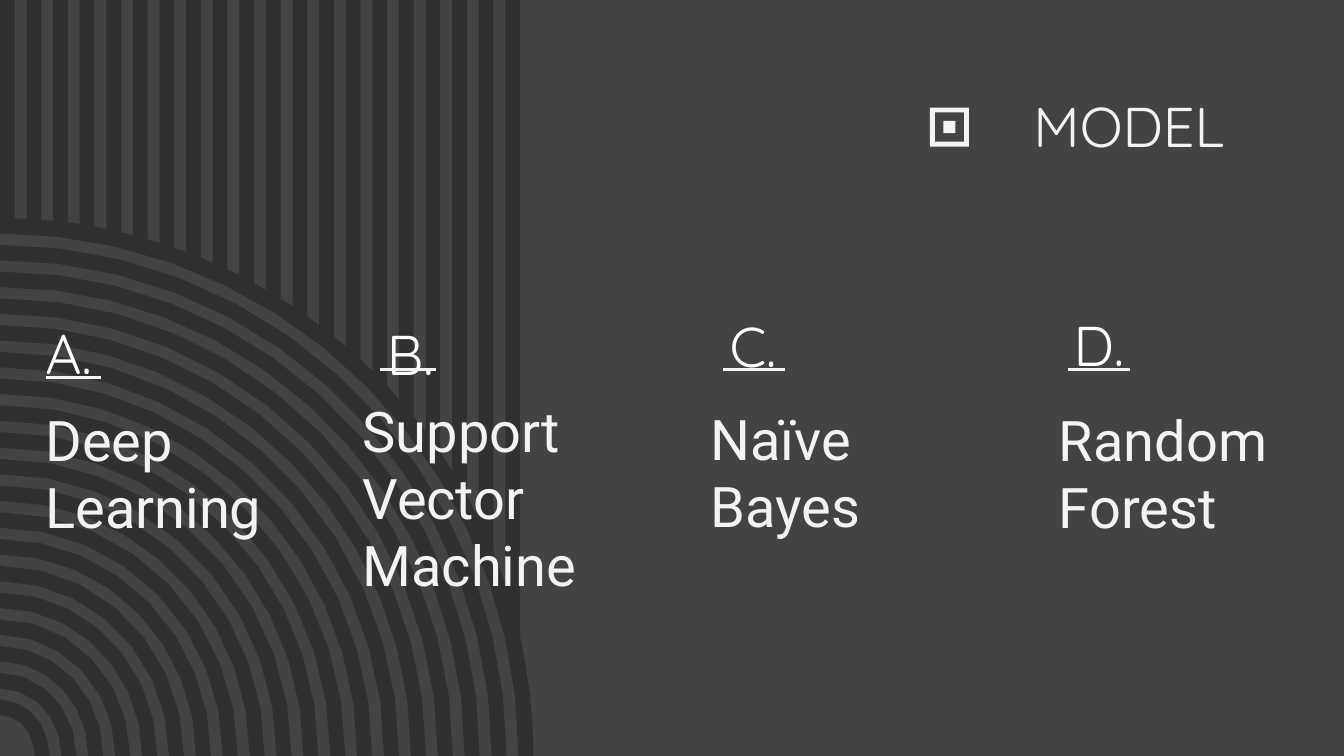
from math import acos, cos, sin, sqrt

from lxml import etree
from pptx import Presentation
from pptx.dml.color import RGBColor
from pptx.enum.shapes import MSO_CONNECTOR, MSO_SHAPE
from pptx.enum.text import MSO_ANCHOR, PP_ALIGN
from pptx.oxml.ns import qn
from pptx.util import Pt

LINE = MSO_CONNECTOR.STRAIGHT
FRAME, RECT = MSO_SHAPE.FRAME, MSO_SHAPE.RECTANGLE
TOP, BOTTOM = MSO_ANCHOR.TOP, MSO_ANCHOR.BOTTOM
LEFT, RIGHT = PP_ALIGN.LEFT, PP_ALIGN.RIGHT

WIDE, HIGH = 720, 405
COLORS = {"back": "434343", "dark": "303030", "light": "F3F3F3", "white": "FFFFFF"}
HEAD, BODY = "Quicksand", "Roboto"


def color(name):
    return RGBColor.from_string(COLORS[name])


def write(frame, text, font=BODY, size=30, tint="light", align=LEFT, after=0):
    """Put one formatted paragraph into a text frame."""
    para = frame.paragraphs[0]
    para.alignment = align
    para.space_after = Pt(after)
    run = para.add_run()
    run.text = text
    run.font.name = font
    run.font.size = Pt(size)
    run.font.color.rgb = color(tint)


def radii(step):
    """Outer radii of a ring, across and up."""
    return 26.6 + 14.4 * step, 30.2 + 14.33 * step


def edge(rx, ry, x):
    """Point above x on the ellipse around the lower left corner."""
    return x, HIGH - ry * sqrt(1 - (x / rx) ** 2)


def arc(rx, ry, count, start=0):
    """Points along that ellipse from x = start down to the slide's foot."""
    first = acos(start / rx)
    turns = [first * (1 - i / count) for i in range(count + 1)]
    return [(rx * cos(t), HIGH - ry * sin(t)) for t in turns]


class Deck:
    def __init__(self):
        self.show = Presentation()
        self.show.slide_width, self.show.slide_height = Pt(WIDE), Pt(HIGH)
        self.slide = self.show.slides.add_slide(self.show.slide_layouts[6])
        self.shapes = self.slide.shapes
        fill = self.slide.background.fill
        fill.solid()
        fill.fore_color.rgb = color("back")

    def paint(self, shape, tint):
        shape.shadow.inherit = False
        shape.fill.solid()
        shape.fill.fore_color.rgb = color(tint)
        shape.line.fill.background()

    def outline(self, points, tint="dark"):
        # Scale is in units per point, so that fractions are kept
        grid = [(x * 100, y * 100) for x, y in points]
        pen = self.shapes.build_freeform(*grid[0], scale=Pt(1) / 100)
        pen.add_line_segments(grid[1:], close=True)
        self.paint(pen.convert_to_shape(), tint)

    def shape(self, kind, x, y, w, h, tint="light"):
        item = self.shapes.add_shape(kind, Pt(x), Pt(y), Pt(w), Pt(h))
        self.paint(item, tint)
        return item

    def text(self, text, x, y, w, h, anchor=TOP, **style):
        frame = self.shapes.add_textbox(Pt(x), Pt(y), Pt(w), Pt(h)).text_frame
        frame.word_wrap = True
        frame.vertical_anchor = anchor
        frame.margin_left = frame.margin_right = Pt(7.2)
        frame.margin_top = frame.margin_bottom = Pt(7.2)
        write(frame, text, **style)

    def rule(self, x, y, w):
        line = self.shapes.add_connector(LINE, Pt(x), Pt(y), Pt(x + w), Pt(y))
        line.line.color.rgb = color("light")
        line.line.width = Pt(1.5)
        etree.SubElement(line._element.spPr, qn("a:effectLst"))


def main():
    deck = Deck()

    # Rings around the lower left corner, larger ones with more points
    for step in range(18):
        rx, ry = radii(step)
        count = 5 + step // 2
        deck.outline(arc(rx, ry, count) + arc(rx - 8, ry - 8.3, count)[::-1])

    # Stripes hanging down to the outermost ring
    rx, ry = radii(18)
    comb = []
    for i in range(20):
        left = 14.25 * i
        right = left + 7.9
        comb += [edge(rx, ry, left), (left, 0), (right, 0)]
        if i < 19:
            comb.append(edge(rx, ry, right))
    deck.outline(comb + arc(rx, ry, 4, right) + arc(rx - 8, ry - 8.3, 14)[::-1])

    # Title and its mark
    deck.text("MODEL", 398.9, 41.8, 264.2, 72.7, font=HEAD, align=RIGHT)
    mark = deck.shape(FRAME, 498.2, 57.6, 20.9, 20.9)
    mark.adjustments[0] = 0.125
    deck.shape(RECT, 505.4, 64.8, 6.5, 6.5)

    # Models: letter, its place, name, its place, rule
    models = [
        ("A.", 17.3, 167, "Deep Learning", 17.3, 210.2, 24.5, 202.3, 29.5),
        ("B.", 200.2, 167.8, "Support Vector Machine", 187.2, 205.2, 203.8, 198, 30),
        ("C.", 383.8, 163.4, "Naïve Bayes", 373.7, 209.5, 387.4, 198, 33),
        ("D.", 568.1, 162.7, "Random Forest", 560.2, 210.2, 572.4, 198, 33),
    ]
    for letter, lx, ly, name, nx, ny, rule_x, rule_y, span in models:
        deck.text(name, nx, ny, 172.8, 119.5, after=16)
        deck.text(letter, lx, ly, 172.8, 46.8, anchor=BOTTOM,
                  font=HEAD, tint="white", after=16)
        deck.rule(rule_x, rule_y, span)

    deck.show.save("out.pptx")


if __name__ == "__main__":
    main()
